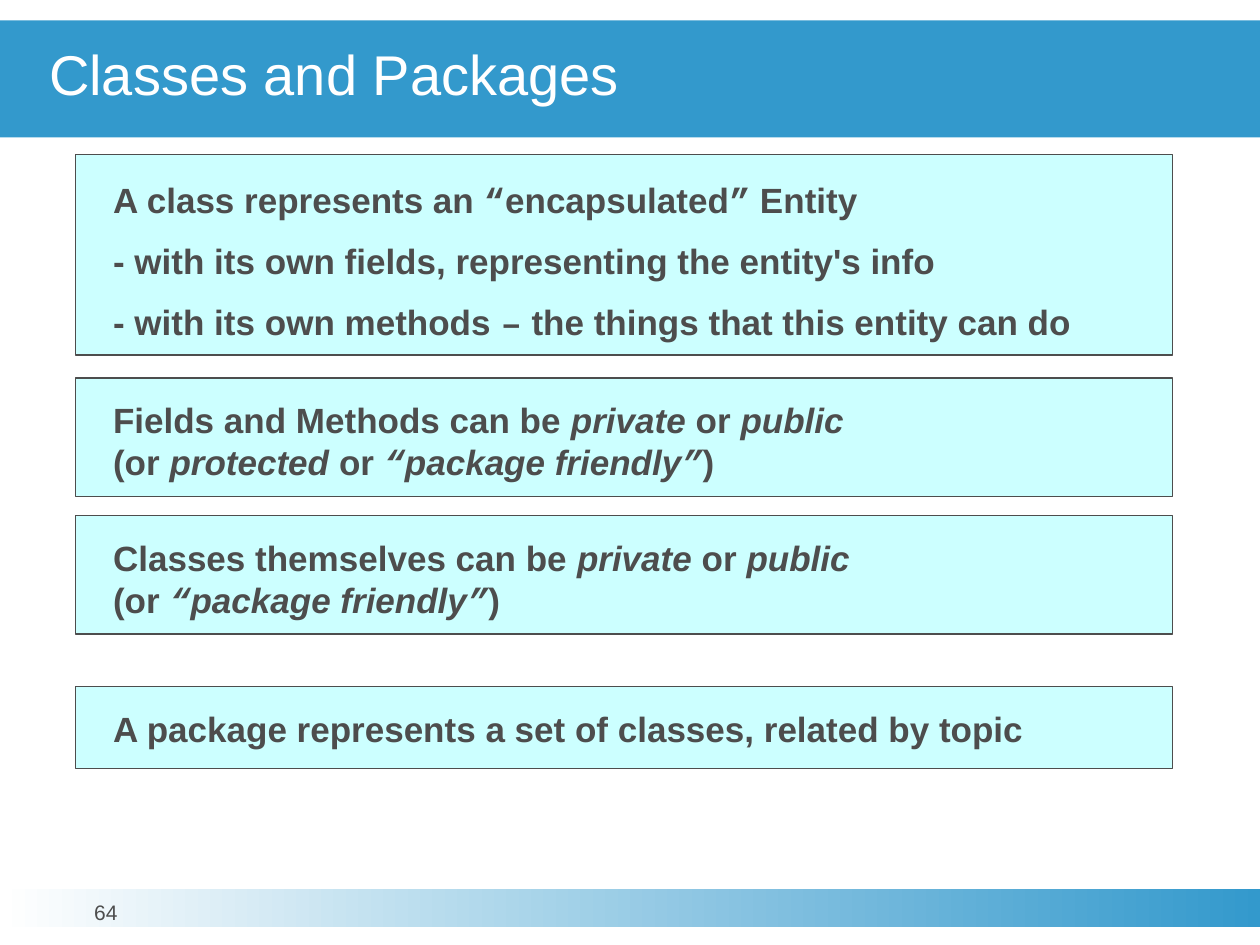
from itertools import groupby

from pptx import Presentation
from pptx.dml.color import RGBColor
from pptx.enum.shapes import MSO_SHAPE as Shape
from pptx.enum.text import MSO_ANCHOR as Anchor, MSO_AUTO_SIZE as AutoSize, PP_ALIGN as Align
from pptx.oxml.ns import qn
from pptx.util import Cm, Pt

BLUE, CYAN, GREY, WHITE = "3399CC", "CCFFFF", "4D4D4D", "FFFFFF"
MONO_SIGNS = "“”–"
BOX_LEFT, BOX_WIDTH = 1.52, 22.12

# Asterisks enclose italic words
CLASS_LINES = [
    "A class represents an “encapsulated” Entity",
    "- with its own fields, representing the entity's info",
    "- with its own methods – the things that this entity can do",
]
# Top, height and lines of the boxes below the first
LOWER_BOXES = [
    (7.62, 2.39, ["Fields and Methods can be *private* or *public*",
                  "(or *protected* or *“package friendly”*)"]),
    (10.39, 2.39, ["Classes themselves can be *private* or *public*",
                   "(or *“package friendly”*)"]),
    (13.84, 1.65, ["A package represents a set of classes, related by topic"]),
]


def color(value):
    return RGBColor.from_string(value)


def place(shape, left, top, width, height):
    shape.left, shape.top = Cm(left), Cm(top)
    shape.width, shape.height = Cm(width), Cm(height)


def paint(shape, fill):
    shape.fill.solid()
    shape.fill.fore_color.rgb = color(fill)


def set_frame(shape, left=0, top=0, anchor=Anchor.TOP):
    frame = shape.text_frame
    frame.word_wrap = True
    frame.auto_size = AutoSize.NONE
    frame.vertical_anchor = anchor
    frame.margin_left, frame.margin_top = Cm(left), Cm(top)
    frame.margin_right = frame.margin_bottom = 0
    return frame


def format_span(span, size, hex_color, name="Arial", bold=False, italic=False):
    font = span.font
    font.name, font.size, font.bold, font.italic = name, Pt(size), bold, italic
    font.color.rgb = color(hex_color)


def write_line(para, line):
    for index, part in enumerate(line.split("*")):
        for mono, signs in groupby(part, lambda sign: sign in MONO_SIGNS):
            span = para.add_run()
            span.text = "".join(signs)
            format_span(span, 20, GREY, "Courier New" if mono else "Arial",
                        bold=True, italic=index % 2 == 1)


def fill_box(box, lines, inset=0.42, gap=0):
    paint(box, CYAN)
    box.line.color.rgb = color(GREY)
    box.line.width = Pt(0.75)
    frame = set_frame(box, left=0.76, top=inset)
    for index, line in enumerate(lines):
        para = frame.add_paragraph() if index else frame.paragraphs[0]
        para.alignment = Align.LEFT
        para.line_spacing = Pt(24)
        para.space_before = Pt(gap if index else 0)
        para.space_after = Pt(0)
        # No bullet and no hanging indent
        properties = para._p.get_or_add_pPr()
        properties.set("marL", "0")
        properties.set("indent", "0")
        properties.append(properties.makeelement(qn("a:buNone"), {}))
        write_line(para, line)


def add_rectangle(page, left, top, width, height):
    shape = page.shapes.add_shape(Shape.RECTANGLE, Cm(left), Cm(top), Cm(width), Cm(height))
    shape.shadow.inherit = False
    return shape


def add_title(page, text):
    title = page.shapes.title
    place(title, 0, 0.41, 25.4, 2.36)
    paint(title, BLUE)
    frame = set_frame(title, left=0.99, anchor=Anchor.MIDDLE)
    frame.text = text
    para = frame.paragraphs[0]
    para.alignment = Align.LEFT
    para.line_spacing = 0.85
    format_span(para.runs[0], 32, WHITE)


def add_footer(page, number):
    band = add_rectangle(page, 0, 17.93, 25.4, 0.76)
    band.line.fill.background()
    band.fill.gradient()
    band.fill.gradient_angle = 0
    for stop, position, value in zip(band.fill.gradient_stops, (0, 1), (WHITE, BLUE)):
        stop.position = position
        stop.color.rgb = color(value)

    box = page.shapes.add_textbox(Cm(0.79), Cm(18.19), Cm(2.69), Cm(0.79))
    frame = set_frame(box)
    frame.text = number
    para = frame.paragraphs[0]
    para.alignment = Align.CENTER
    para.line_spacing = Pt(13)
    format_span(para.runs[0], 12, GREY)


def main():
    deck = Presentation()
    deck.slide_width, deck.slide_height = Cm(25.4), Cm(19.05)
    page = deck.slides.add_slide(deck.slide_layouts[1])

    # Title and footer
    add_title(page, "Classes and Packages")
    add_footer(page, "64")

    # List of what a class holds
    class_box = page.placeholders[1]
    place(class_box, BOX_LEFT, 3.12, BOX_WIDTH, 4.04)
    fill_box(class_box, CLASS_LINES, inset=0.47, gap=11)

    # Access rules and packages
    for top, height, lines in LOWER_BOXES:
        fill_box(add_rectangle(page, BOX_LEFT, top, BOX_WIDTH, height), lines)

    deck.save("out.pptx")


main()
